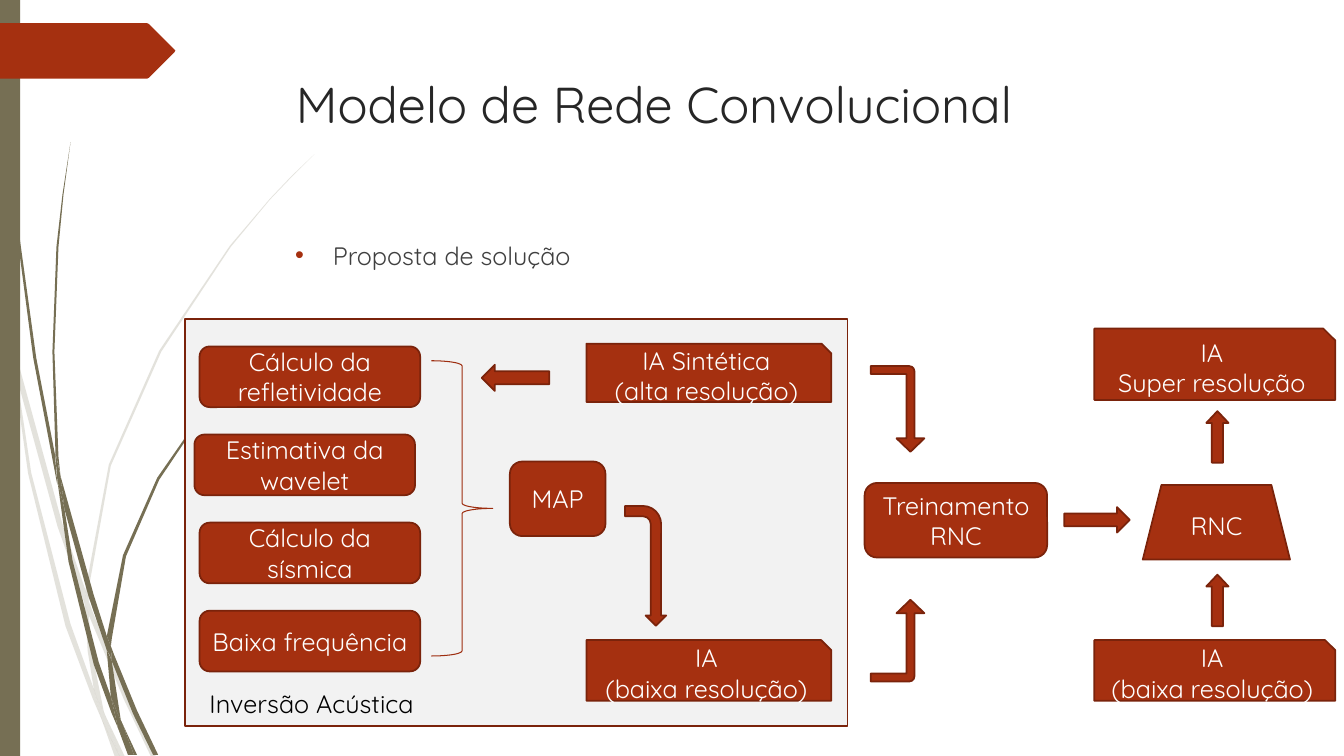
from lxml.etree import SubElement
from pptx import Presentation
from pptx.dml.color import RGBColor
from pptx.enum.shapes import MSO_SHAPE as SHAPE
from pptx.enum.text import MSO_ANCHOR as ANCHOR, PP_ALIGN as ALIGN
from pptx.oxml.ns import qn
from pptx.util import Cm, Pt

RUST = RGBColor(0xA5, 0x30, 0x10)
RUST_EDGE = RGBColor(0x7A, 0x23, 0x0B)
BRACE_EDGE = RGBColor(0x9D, 0x2D, 0x0F)
OLIVE = RGBColor(0x76, 0x6F, 0x54)
PANEL = RGBColor(0xF2, 0xF2, 0xF2)
WHITE = RGBColor(0xFF, 0xFF, 0xFF)
BLACK = RGBColor(0x00, 0x00, 0x00)
TITLE = RGBColor(0x26, 0x26, 0x26)
BODY = RGBColor(0x40, 0x40, 0x40)
OUTLINE_UNIT = Cm(2.54) / 100

PALE_BLADES = [
    [(11, 350), (8, 322), (0, 282), (0, 299), (10, 344)],
    [(57, 522), (84, 599), (85, 586), (62, 520), (14, 345), (17, 376)],
    [(92, 607), (88, 596), (88, 610), (123, 694), (150, 751), (155, 751), (127, 691)],
    [(119, 751), (124, 751), (105, 711)],
    [(93, 683), (70, 619), (31, 469), (17, 376), (11, 350), (28, 470), (65, 621),
     (92, 693), (101, 714), (99, 707)],
    [(84, 599), (87, 646), (93, 683), (96, 692), (105, 711), (103, 706), (91, 646),
     (88, 610), (88, 608)],
    [(88, 584), (110, 462), (160, 349), (229, 245), (268, 198), (290, 175), (312, 153),
     (289, 175), (268, 197), (228, 244), (158, 348), (108, 461), (85, 584), (85, 586),
     (88, 596)],
    [(101, 714), (114, 751), (119, 751)],
    [(88, 608), (88, 610), (88, 596), (85, 586), (84, 599)],
    [(96, 692), (93, 683), (99, 707), (101, 714), (119, 751), (105, 711)],
]
DARK_BLADES = [
    [(7, 110), (17, 233), (33, 355), (56, 476), (57, 481), (55, 457), (55, 453), (36, 355),
     (19, 232), (8, 109), (5, 48), (4, 0), (3, 0), (4, 48)],
    [(88, 592), (106, 645), (106, 633), (106, 631), (93, 590), (60, 472), (64, 505)],
    [(113, 649), (110, 641), (111, 656), (132, 708), (152, 749), (157, 749), (136, 705)],
    [(110, 691), (98, 657), (72, 556), (64, 505), (57, 477), (68, 557), (93, 659),
     (111, 708), (117, 722), (116, 717)],
    [(60, 472), (58, 453), (54, 349), (58, 245), (63, 193), (70, 141), (62, 193),
     (56, 245), (52, 349), (55, 449), (60, 471)],
    [(133, 749), (136, 749), (122, 719)],
    [(57, 477), (64, 505), (60, 472), (55, 449), (55, 453)],
    [(111, 633), (125, 552), (158, 476), (205, 406), (231, 374), (245, 359), (261, 344),
     (260, 344), (245, 358), (231, 373), (204, 405), (156, 474), (122, 551), (106, 631),
     (110, 641)],
    [(117, 722), (127, 749), (131, 749)],
    [(106, 645), (110, 691), (116, 706), (122, 719), (120, 715), (111, 656), (109, 651)],
    [(106, 645), (109, 650), (111, 656), (110, 641), (106, 631), (106, 633)],
    [(116, 706), (110, 691), (116, 717), (117, 722), (130, 749), (133, 749), (122, 719)],
]
BANNER = [(173, 52), (148, 77), (146, 78), (0, 78), (0, 23), (146, 23), (148, 24),
          (173, 49), (174, 50)]


class Diagram:
    """Holds the style and the slide, and draws each kind of element."""

    font = "Quicksand"

    def __init__(self, s):
        self.s = s

    def style(self, sp, fill, line, width=1.25):
        sp.shadow.inherit = False
        if fill is None:
            sp.fill.background()
        else:
            sp.fill.solid()
            sp.fill.fore_color.rgb = fill
        if line is None:
            sp.line.fill.background()
        else:
            sp.line.color.rgb = line
            sp.line.width = Pt(width)

    def outline(self, points, fill, alpha=None):
        builder = self.s.shapes.build_freeform(*points[0], scale=OUTLINE_UNIT)
        builder.add_line_segments(points[1:], close=True)
        sp = builder.convert_to_shape()
        self.style(sp, fill, None)
        if alpha:
            color = sp.element.spPr.find(qn("a:solidFill"))[0]
            SubElement(color, qn("a:alpha"), val=str(alpha * 1000))

    def shape(self, kind, x, y, w, h, fill=RUST, line=RUST_EDGE, width=1.25,
              rot=0, adj=(), flip=False):
        sp = self.s.shapes.add_shape(kind, Cm(x), Cm(y), Cm(w), Cm(h))
        self.style(sp, fill, line, width)
        sp.rotation = rot
        for i, value in enumerate(adj):
            sp.adjustments[i] = value
        if flip:
            sp.element.spPr.find(qn("a:xfrm")).set("flipV", "1")
        return sp

    def set_text(self, tf, text, size, color, align=ALIGN.LEFT):
        tf.word_wrap = True
        tf.text = text
        for p in tf.paragraphs:
            p.alignment = align
            for r in p.runs:
                r.font.name = self.font
                r.font.size = Pt(size)
                r.font.color.rgb = color

    def step(self, kind, text, x, y, w, h):
        tf = self.shape(kind, x, y, w, h).text_frame
        tf.vertical_anchor = ANCHOR.MIDDLE
        self.set_text(tf, text, 18, WHITE, ALIGN.CENTER)

    def text(self, text, x, y, w, h, size, color, bullet=False):
        tf = self.s.shapes.add_textbox(Cm(x), Cm(y), Cm(w), Cm(h)).text_frame
        self.set_text(tf, text, size, color)
        if bullet:
            pPr = tf.paragraphs[0]._p.get_or_add_pPr()
            pPr.set("marL", str(Cm(0.95)))
            pPr.set("indent", str(-Cm(0.95)))
            SubElement(SubElement(pPr, qn("a:buClr")), qn("a:srgbClr"), val=str(RUST))
            SubElement(pPr, qn("a:buFont"), typeface="Arial")
            SubElement(pPr, qn("a:buChar"), char="•")


def main():
    prs = Presentation()
    prs.slide_width, prs.slide_height = Cm(33.87), Cm(19.05)
    d = Diagram(prs.slides.add_slide(prs.slide_layouts[6]))

    for blade in PALE_BLADES:
        d.outline(blade, OLIVE, alpha=20)
    for blade in DARK_BLADES:
        d.outline(blade, OLIVE)
    d.shape(SHAPE.RECTANGLE, 0, 0, 0.51, 19.05, OLIVE, None)
    d.outline(BANNER, RUST)

    d.shape(SHAPE.RECTANGLE, 4.67, 8.03, 16.69, 10.26, PANEL)
    d.text("Modelo de Rede Convolucional", 7.21, 1.73, 24.77, 3.56, 36, TITLE)

    inputs = [("Cálculo da refletividade", 5.03), ("Estimativa da wavelet", 4.9),
              ("Cálculo da sísmica", 5.03), ("Baixa frequência", 5.03)]
    for i, (label, x) in enumerate(inputs):
        d.step(SHAPE.ROUNDED_RECTANGLE, label, x, 8.73 + 2.22 * i, 5.56, 1.53)

    low_resolution = "IA\n(baixa resolução)"
    for kind, label, *box in [
        (SHAPE.ROUNDED_RECTANGLE, "MAP", 12.85, 11.63, 2.41, 1.88),
        (SHAPE.SNIP_1_RECTANGLE, low_resolution, 14.78, 16.13, 6.17, 1.53),
        (SHAPE.SNIP_1_RECTANGLE, "IA Sintética\n(alta resolução)", 14.78, 8.66, 6.17, 1.47),
        (SHAPE.ROUNDED_RECTANGLE, "Treinamento RNC", 21.79, 12.17, 4.6, 1.88),
        (SHAPE.SNIP_1_RECTANGLE, low_resolution, 27.58, 16.13, 6.07, 1.53),
        (SHAPE.TRAPEZOID, "RNC", 28.8, 12.22, 3.71, 1.88),
        (SHAPE.SNIP_1_RECTANGLE, "IA\nSuper resolução", 27.58, 8.28, 6.07, 1.8),
    ]:
        d.step(kind, label, *box)

    d.shape(SHAPE.RIGHT_ARROW, 26.82, 12.78, 1.65, 0.64)
    for y in (14.48, 10.36):
        d.shape(SHAPE.DOWN_ARROW, 30.4, y, 0.56, 1.3, rot=180, adj=(0.5, 0.53))
    d.shape(SHAPE.LEFT_BRACE, 10.87, 9.09, 1.55, 7.44, None, BRACE_EDGE, 0.75, rot=180)
    d.shape(SHAPE.RIGHT_ARROW, 12.14, 9.19, 1.7, 0.66, rot=180)
    d.shape(SHAPE.BENT_ARROW, 14.76, 13.74, 3.02, 1.04, rot=90, adj=(0.25, 0.25, 0.25, 0.44))
    corner = (0.15, 0.26, 0.25, 0.1)
    d.shape(SHAPE.BENT_ARROW, 21.54, 9.63, 2.16, 1.35, rot=90, adj=corner)
    d.shape(SHAPE.BENT_ARROW, 21.59, 15.47, 2.06, 1.35, rot=270, adj=corner, flip=True)

    d.text("Inversão Acústica", 5.03, 17.22, 6.45, 1.02, 18, BLACK)
    d.text("Proposta de solução", 7.19, 5.92, 24.77, 1.6, 18, BODY, bullet=True)
    prs.save("out.pptx")


if __name__ == "__main__":
    main()
